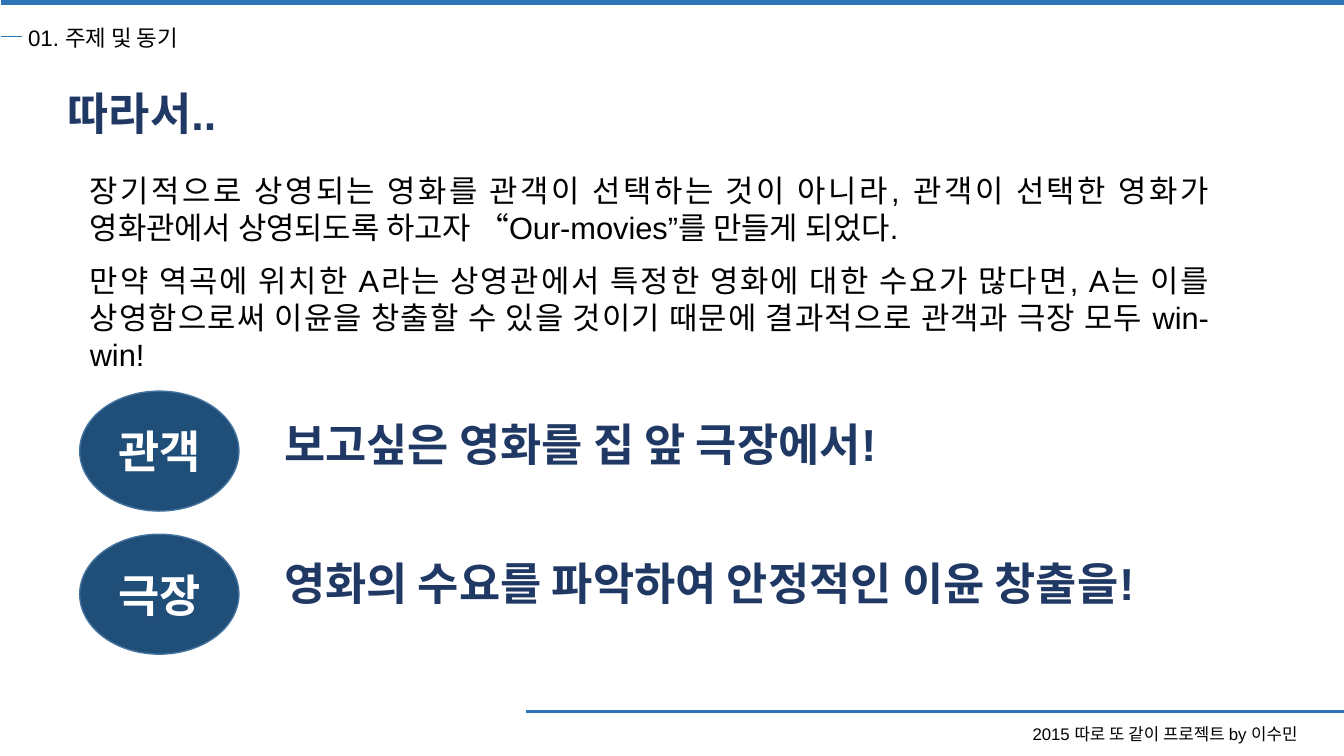
from pptx import Presentation
from pptx import util as u
from pptx.dml.color import RGBColor
from pptx.enum import shapes, text
from pptx.oxml.ns import qn
from lxml import etree

WIDTH, HEIGHT = u.Inches(13.33), u.Inches(7.5)
COLORS = {"ink": "000000", "navy": "203864", "rule": "2E75B6",
          "oval": "1F4E79", "edge": "43739E", "white": "FFFFFF"}
ALIGN = text.PP_ALIGN
HEADLINE = {"size": u.Pt(32), "name": "Arial", "bold": True}

REASONS = [
    "장기적으로 상영되는 영화를 관객이 선택하는 것이 아니라, 관객이 선택한 영화가 "
    "영화관에서 상영되도록 하고자 “Our-movies”를 만들게 되었다.",
    "만약 역곡에 위치한 A라는 상영관에서 특정한 영화에 대한 수요가 많다면, A는 이를 "
    "상영함으로써 이윤을 창출할 수 있을 것이기 때문에 결과적으로 관객과 극장 모두 win-win!",
]
BENEFITS = [("관객", "보고싶은 영화를 집 앞 극장에서!", 63.92),
            ("극장", "영화의 수요를 파악하여 안정적인 이윤 창출을!", 76.22)]


def color(name):
    return RGBColor.from_string(COLORS[name])


def share(left, top, width, height):
    """Turn percentages of the slide's size into lengths."""
    return [round(part * whole / 100) for part, whole in
            zip((left, top, width, height), (WIDTH, HEIGHT) * 2)]


def apply(target, values):
    for name, value in values.items():
        setattr(target, name, value)


def write(shape, lines, font, ink, anchor=text.MSO_ANCHOR.TOP, **layout):
    frame = shape.text_frame
    apply(frame, {"text": "\n".join(lines), "word_wrap": True,
                  "auto_size": text.MSO_AUTO_SIZE.NONE,
                  "vertical_anchor": anchor})
    for para in frame.paragraphs:
        apply(para, {"alignment": ALIGN.LEFT, "space_before": u.Pt(0), **layout})
        for span in para.runs:
            apply(span.font, font)
            span.font.color.rgb = color(ink)


def place(shape, area):
    apply(shape, dict(zip(("left", "top", "width", "height"), share(*area))))
    return shape


def add_text(page, area, line, font, ink, **layout):
    box = page.shapes.add_textbox(*share(*area))
    write(box, [line], font, ink, **layout)


def add_rule(page, start, end, level, weight):
    ends = share(start, level, end, level)
    rule = page.shapes.add_connector(shapes.MSO_CONNECTOR.STRAIGHT, *ends)
    rule.line.color.rgb = color("rule")
    rule.line.width = u.Pt(weight)
    etree.SubElement(rule._element.spPr, qn("a:effectLst"))


def add_oval(page, area, label):
    oval = page.shapes.add_shape(shapes.MSO_SHAPE.OVAL, *share(*area))
    oval.shadow.inherit = False
    oval.fill.solid()
    oval.fill.fore_color.rgb = color("oval")
    oval.line.color.rgb = color("edge")
    oval.line.width = u.Pt(1)
    write(oval, [label], {**HEADLINE, "name": "Calibri"}, "white",
          anchor=text.MSO_ANCHOR.MIDDLE, alignment=ALIGN.CENTER)


def fill_body(body):
    write(body, REASONS, {"size": u.Pt(22), "name": "Arial"}, "ink",
          alignment=ALIGN.JUSTIFY, space_after=u.Pt(12))
    for para in body.text_frame.paragraphs:
        props = para._p.get_or_add_pPr()
        props.set("marL", "0")
        props.set("indent", "0")
        etree.SubElement(props, qn("a:buNone"))


def main():
    deck = Presentation()
    apply(deck, {"slide_width": WIDTH, "slide_height": HEIGHT})
    page = deck.slides.add_slide(deck.slide_layouts[1])

    add_rule(page, 0.08, 100.3, 0.27, 4.5)
    add_rule(page, 0.08, 1.65, 4.8, 0.5)
    add_rule(page, 100.3, 39.16, 94.13, 2.25)
    add_text(page, (1.35, 2.53, 16.43, 4.93), "01. 주제 및 동기",
             {"size": u.Pt(16), "name": "Arial"}, "ink")
    add_text(page, (73.07, 95.07, 27.23, 4), "2015 따로 또 같이 프로젝트 by 이수민",
             {"size": u.Pt(12), "name": "Arial"}, "ink", alignment=ALIGN.CENTER)

    title = place(page.shapes.title, (4.28, 10.67, 16.13, 8.53))
    write(title, ["따라서.."], HEADLINE, "navy")
    fill_body(place(page.placeholders[1], (5.93, 22, 84.77, 28.27)))

    for row, (who, slogan, width) in enumerate(BENEFITS):
        add_oval(page, (5.93, 51.73 + 18.93 * row, 11.85, 15.87), who)
        add_text(page, (20.4, 54.4 + 18.4 * row, width, 8.53), slogan,
                 HEADLINE, "navy")

    deck.save("out.pptx")


if __name__ == "__main__":
    main()
